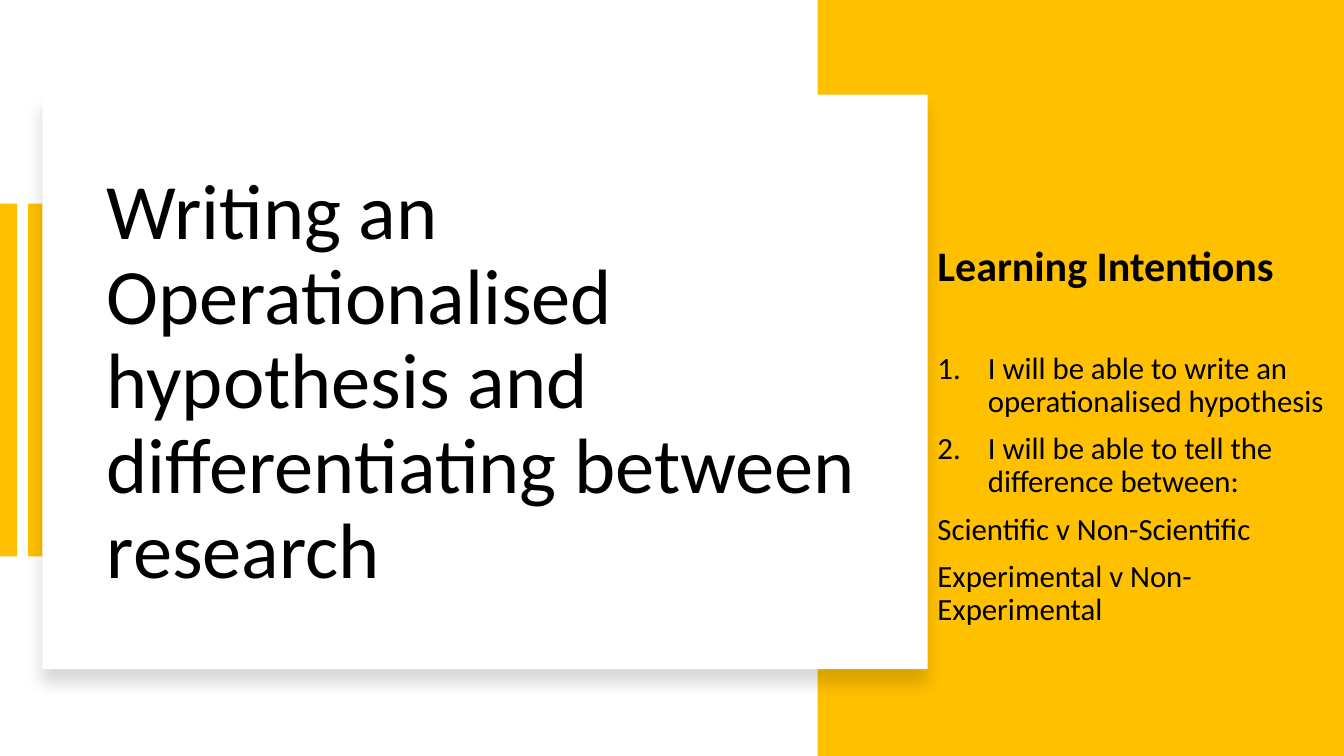
from pptx import Presentation
from pptx.dml.color import RGBColor
from pptx.enum.shapes import MSO_SHAPE
from pptx.enum.text import MSO_ANCHOR
from pptx.oxml import parse_xml
from pptx.oxml.ns import nsdecls
from pptx.util import Inches, Pt

HUES = {"gold": "FFC000", "white": "FFFFFF", "black": "000000"}
FONT = "Calibri"
TITLE = "Writing an Operationalised hypothesis and differentiating between research"
HEAD = "Learning Intentions"
AIMS = [
    "I will be able to write an operationalised hypothesis",
    "I will be able to tell the difference between:",
]
PAIRS = ["Scientific v Non-Scientific", "Experimental v Non-Experimental"]
BARS = [(0.28, 2.02, 0.17, 3.5), (8.11, 0, 5.22, 7.5), (0, 2.02, 0.17, 3.5)]
CARD = (0.42, 0.94, 8.78, 5.7)


def add_rect(slide, box, hue):
    rect = slide.shapes.add_shape(MSO_SHAPE.RECTANGLE, *map(Inches, box))
    rect.shadow.inherit = False
    rect.fill.solid()
    rect.fill.fore_color.rgb = RGBColor.from_string(HUES[hue])
    rect.line.fill.background()
    return rect


def add_shade(rect):
    props = rect.fill._xPr
    props.remove(props.find("{*}effectLst"))
    props.append(parse_xml(
        f'<a:effectLst {nsdecls("a")}><a:outerShdw blurRad="{Pt(11)}" '
        f'dist="{Pt(10)}" dir="5400000" algn="t" rotWithShape="0">'
        f'<a:srgbClr val="{HUES["black"]}"><a:alpha val="15000"/></a:srgbClr>'
        '</a:outerShdw></a:effectLst>'))


def add_text(slide, box, rows):
    frame = slide.shapes.add_textbox(*map(Inches, box)).text_frame
    frame.word_wrap = True
    frame.vertical_anchor = MSO_ANCHOR.MIDDLE
    for spot, (text, size, bold, gap, listed) in enumerate(rows):
        para = frame.add_paragraph() if spot else frame.paragraphs[0]
        para.text = text
        para.line_spacing = 0.9
        para.space_before = Pt(gap)
        if listed:
            props = para._p.get_or_add_pPr()
            props.set("marL", str(Inches(0.5)))
            props.set("indent", str(Inches(-0.5)))
            props.append(parse_xml(
                f'<a:buFont {nsdecls("a")} typeface="+mj-lt"/>'))
            props.append(parse_xml(
                f'<a:buAutoNum {nsdecls("a")} type="arabicPeriod"/>'))
        font = para.font
        font.name, font.size, font.bold = FONT, Pt(size), bold
        font.color.rgb = RGBColor.from_string(HUES["black"])


def main():
    """Build the learning intentions slide."""
    deck = Presentation()
    deck.slide_width, deck.slide_height = Inches(13.33), Inches(7.5)
    slide = deck.slides.add_slide(deck.slide_layouts[6])
    for bar in BARS:
        add_rect(slide, bar, "gold")
    add_shade(add_rect(slide, CARD, "white"))
    add_text(slide, (0.96, 1.61, 7.77, 4.39), [(TITLE, 56, False, 0, False)])
    rows = [(HEAD, 30, True, 0, False)]
    rows += [(aim, 22, False, gap, True) for aim, gap in zip(AIMS, (44, 10))]
    rows += [(pair, 22, False, 10, False) for pair in PAIRS]
    add_text(slide, (9.2, 2.02, 4.13, 4.62), rows)
    deck.save("out.pptx")


if __name__ == "__main__":
    main()
